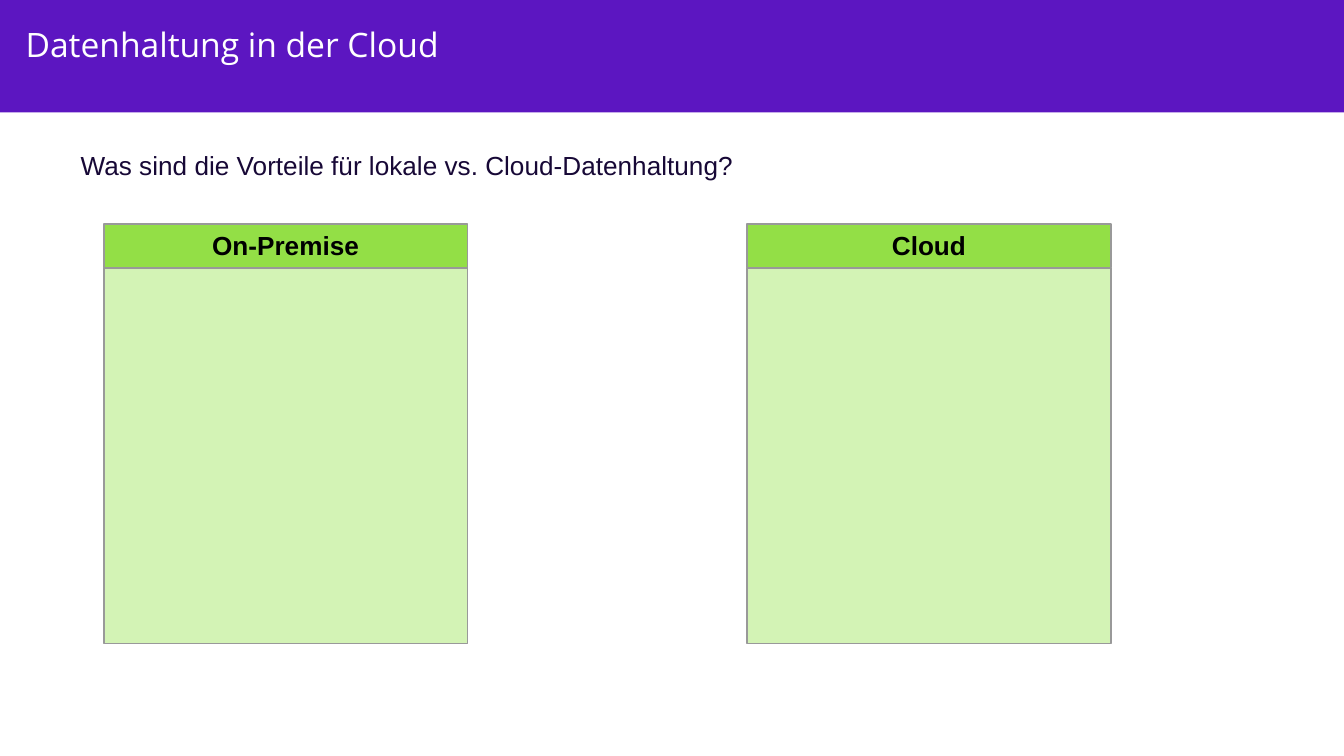
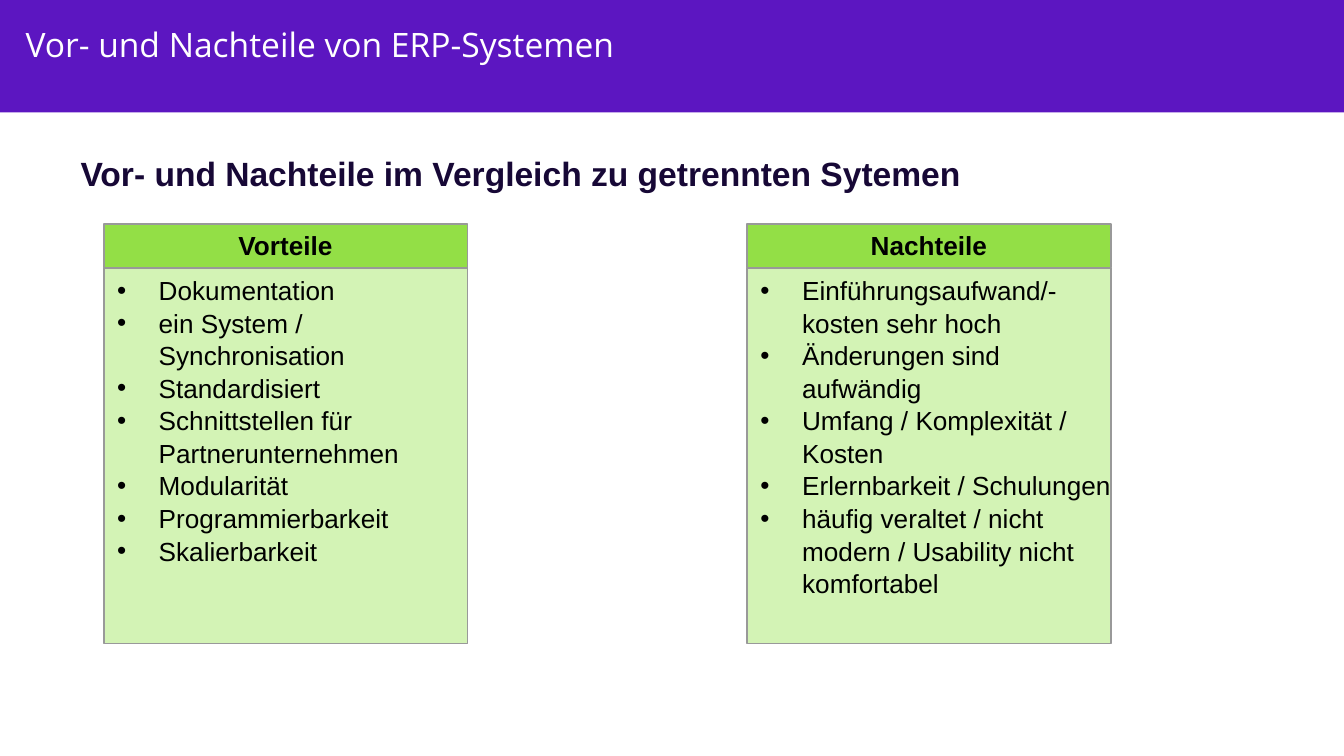
import pptx
import pptx.dml.color
import pptx.enum.shapes
import pptx.enum.text
import pptx.util
from lxml import etree

Pt = pptx.util.Pt
ALIGN = pptx.enum.text.PP_ALIGN
RECTANGLE = pptx.enum.shapes.MSO_SHAPE.RECTANGLE

SLIDES = [
    {
        "title": "Datenhaltung in der Cloud",
        "question": "Was sind die Vorteile für lokale vs. Cloud-Datenhaltung?",
        "question_style": "question",
        "question_box": (43.2, 79.2, 352, 18.7),
        "columns": [("On-Premise", []), ("Cloud", [])],
    },
    {
        "title": "Vor- und Nachteile von ERP-Systemen",
        "question": "Vor- und Nachteile im Vergleich zu getrennten Sytemen",
        "question_style": "headline",
        "question_box": (43.2, 81.4, 476, 23.8),
        "columns": [
            ("Vorteile", [
                "Dokumentation",
                "ein System / Synchronisation",
                "Standardisiert",
                "Schnittstellen für Partnerunternehmen",
                "Modularität",
                "Programmierbarkeit",
                "Skalierbarkeit",
            ]),
            ("Nachteile", [
                "Einführungsaufwand/- kosten sehr hoch",
                "Änderungen sind aufwändig",
                "Umfang / Komplexität / Kosten",
                "Erlernbarkeit / Schulungen",
                "häufig veraltet / nicht modern / Usability nicht komfortabel",
            ]),
        ],
    },
]

THEME = {
    "colours": {"band": "5C16C1", "heading": "93DF46", "list": "D3F3B5", "border": "999999"},
    "text": {
        "title": ({"name": "Open Sans", "size": Pt(18), "bold": False}, "FFFFFF"),
        "question": ({"name": "Arial", "size": Pt(14), "bold": False}, "170836"),
        "headline": ({"name": "Arial", "size": Pt(18), "bold": True}, "170836"),
        "heading": ({"name": "Arial", "size": Pt(14), "bold": True}, "000000"),
        "list": ({"name": "Arial", "size": Pt(14), "bold": False}, "000000"),
    },
}

WIDTH, HEIGHT = 720, 405
BAND_BOX = (0, 0, WIDTH, 60.2)
TITLE_BOX = (13.7, 12.2, 368.6, 23.8)
COLUMN_LEFT, COLUMN_STEP, COLUMN_WIDTH = 55.5, 344.7, 195
HEADING_TOP, HEADING_HEIGHT, LIST_HEIGHT = 120.2, 23.2, 201.4
LIST_INDENT, BULLET_HANG = 29.5, 22.3
COMPARISON_LAYOUT = 4
COLUMN_PLACEHOLDERS = [(1, 2), (3, 4)]


def set_all(target, values):
    for attribute, value in values.items():
        setattr(target, attribute, value)


def rgb(value):
    return pptx.dml.color.RGBColor.from_string(value)


def place(part, box):
    set_all(part, dict(zip(("left", "top", "width", "height"), map(Pt, box))))


def paint(part, colour, border=None):
    part.fill.solid()
    part.fill.fore_color.rgb = rgb(THEME["colours"][colour])
    if border:
        part.line.color.rgb = rgb(THEME["colours"][border])
        part.line.width = Pt(1)
    else:
        part.line.fill.background()


def add_rectangle(slide, box):
    rectangle = slide.shapes.add_shape(RECTANGLE, *map(Pt, box))
    rectangle.shadow.inherit = False
    return rectangle


def write(part, lines, style, top_inset=0.7, align=ALIGN.LEFT):
    frame = part.text_frame
    set_all(frame, {
        "text": "\n".join(lines),
        "word_wrap": True,
        "auto_size": pptx.enum.text.MSO_AUTO_SIZE.NONE,
        "vertical_anchor": pptx.enum.text.MSO_ANCHOR.TOP,
        "margin_left": 0, "margin_right": 0, "margin_bottom": 0,
        "margin_top": Pt(top_inset),
    })
    font, colour = THEME["text"][style]
    for paragraph in frame.paragraphs:
        set_all(paragraph, {"alignment": align, "space_before": Pt(0)})
        for run in paragraph.runs:
            set_all(run.font, font)
            run.font.color.rgb = rgb(colour)


def add_bullets(part):
    for paragraph in part.text_frame.paragraphs:
        paragraph.line_spacing = 1.04
        properties = paragraph._p.get_or_add_pPr()
        properties.set("marL", str(int(Pt(LIST_INDENT))))
        properties.set("indent", str(-int(Pt(BULLET_HANG))))
        bullet = etree.SubElement(properties, pptx.oxml.ns.qn("a:buChar"))
        bullet.set("char", "•")


def add_column(slide, number, heading_text, items):
    heading, listing = (slide.placeholders[index] for index in COLUMN_PLACEHOLDERS[number])
    left = COLUMN_LEFT + number * COLUMN_STEP
    list_box = (left, HEADING_TOP + HEADING_HEIGHT, COLUMN_WIDTH, LIST_HEIGHT)
    place(heading, (left, HEADING_TOP, COLUMN_WIDTH, HEADING_HEIGHT))
    paint(heading, "heading", "border")
    write(heading, [heading_text], "heading", 2.9, ALIGN.CENTER)
    if items:
        place(listing, list_box)
        write(listing, items, "list", 2.9)
        add_bullets(listing)
    else:
        listing.element.getparent().remove(listing.element)
        listing = add_rectangle(slide, list_box)
    paint(listing, "list", "border")


def add_slide(deck, content):
    slide = deck.slides.add_slide(deck.slide_layouts[COMPARISON_LAYOUT])
    band = add_rectangle(slide, BAND_BOX)
    paint(band, "band")
    slide.shapes.element.insert(2, band.element)
    place(slide.shapes.title, TITLE_BOX)
    write(slide.shapes.title, [content["title"]], "title")
    question = slide.shapes.add_textbox(*map(Pt, content["question_box"]))
    write(question, [content["question"]], content["question_style"])
    for number, (heading, items) in enumerate(content["columns"]):
        add_column(slide, number, heading, items)


def main():
    deck = pptx.Presentation()
    set_all(deck, {"slide_width": Pt(WIDTH), "slide_height": Pt(HEIGHT)})
    for content in SLIDES:
        add_slide(deck, content)
    deck.save("out.pptx")


if __name__ == "__main__":
    main()
